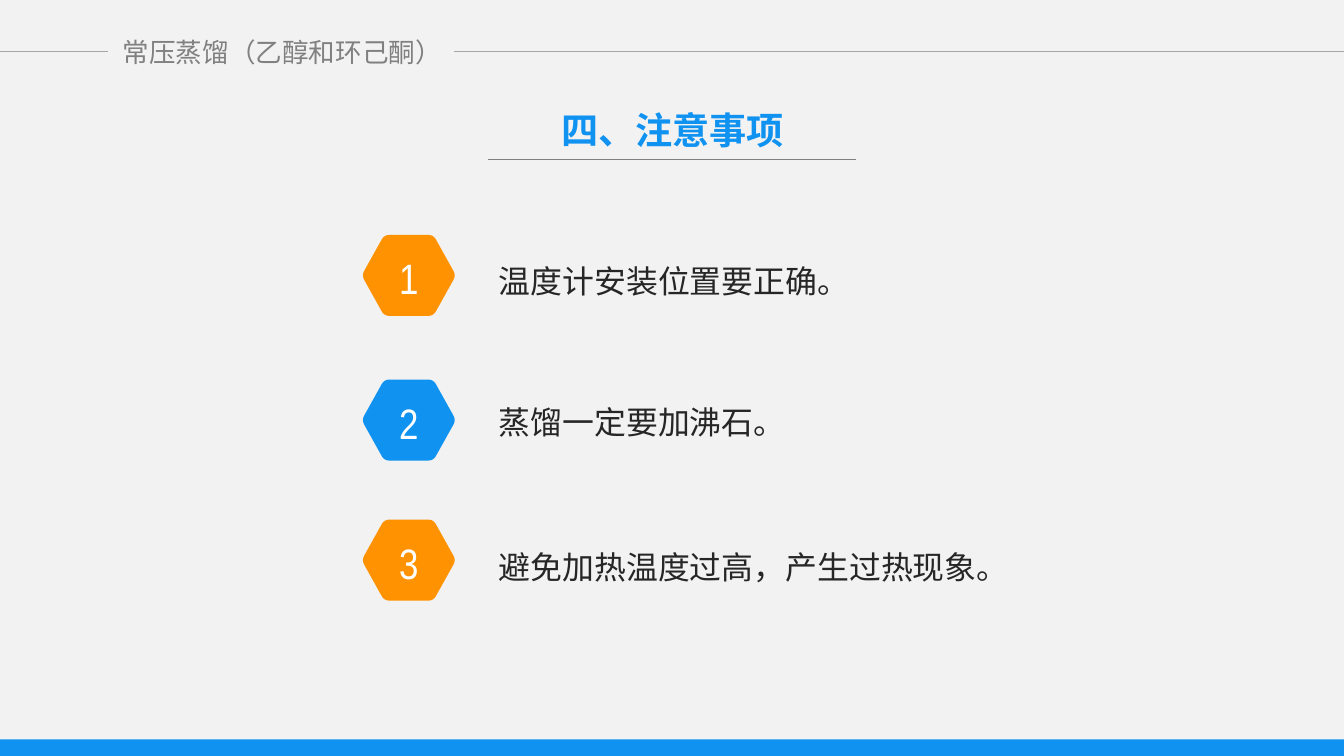
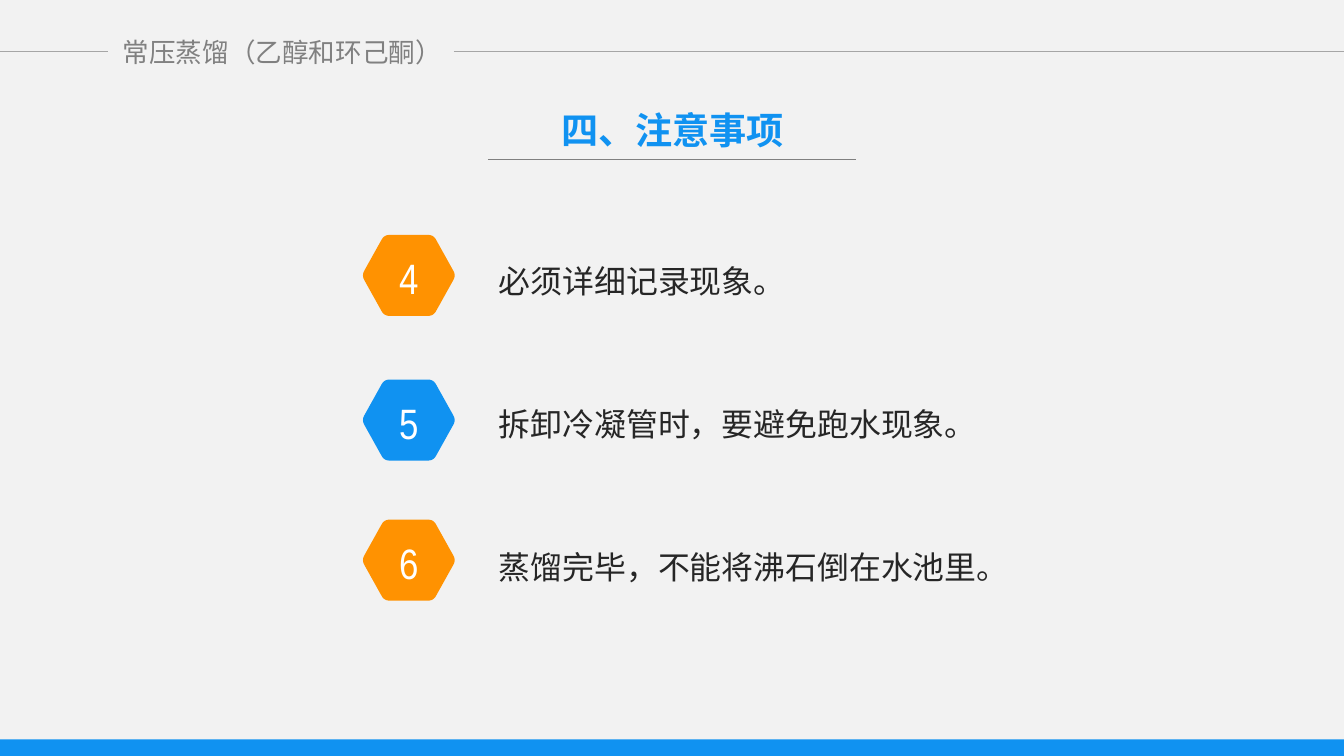
from dataclasses import dataclass

from lxml.etree import SubElement
from pptx import Presentation
from pptx.dml.color import RGBColor
from pptx.enum.shapes import MSO_CONNECTOR, MSO_SHAPE
from pptx.enum.text import MSO_ANCHOR, MSO_AUTO_SIZE, PP_ALIGN
from pptx.oxml.ns import qn
from pptx.shapes.autoshape import Shape
from pptx.shapes.connector import Connector
from pptx.slide import Slide
from pptx.util import Pt

# Shared look
PAGE_WIDTH, PAGE_HEIGHT = 1012.5, 569.5
BLUE, ORANGE, WHITE = "1092F1", "FF9201", "FFFFFF"
PAPER, INK, GRAY, RULE = "F2F2F2", "262626", "808080", "A6A6A6"
HEADER_Y = 39
BAND_HEIGHT = 12.5

# Hexagon badge, measured from its centre
BADGE_X = 308
BADGE_HALF_WIDTH, BADGE_HALF_TOP, BADGE_HALF_HEIGHT = 35.5, 18.5, 30.5
CORNER_CUT, CORNER_STEPS = 4, 6


@dataclass
class TextStyle:
    size: float
    font: str
    color: str
    bold: bool = False
    align: PP_ALIGN = PP_ALIGN.LEFT
    anchor: MSO_ANCHOR = MSO_ANCHOR.TOP
    spacing: float = 1.0
    inset: tuple[float, float] = (0, 0)


@dataclass
class Row:
    badge_y: float
    color: str


@dataclass
class Note:
    number: str
    text: str
    top: float


HEADER = TextStyle(20, "Arial", GRAY, align=PP_ALIGN.CENTER, anchor=MSO_ANCHOR.MIDDLE)
TITLE = TextStyle(28, "Times New Roman", BLUE, bold=True, align=PP_ALIGN.CENTER)
NUMBER = TextStyle(32, "Arial Narrow", WHITE, align=PP_ALIGN.CENTER, inset=(7.2, 3.6))
BODY = TextStyle(24, "Times New Roman", INK, spacing=1.3)

ROWS = [Row(207.5, ORANGE), Row(316.5, BLUE), Row(422, ORANGE)]
PAGES = [
    [
        Note("1", "温度计安装位置要正确。", 188.6),
        Note("2", "蒸馏一定要加沸石。", 294.5),
        Note("3", "避免加热温度过高，产生过热现象。", 404),
    ],
    [
        Note("4", "必须详细记录现象。", 188.6),
        Note("5", "拆卸冷凝管时，要避免跑水现象。", 296),
        Note("6", "蒸馏完毕，不能将沸石倒在水池里。", 404),
    ],
]


def rgb(color: str) -> RGBColor:
    return RGBColor.from_string(color)


def paint(shape: Shape, color: str) -> None:
    shape.shadow.inherit = False
    shape.fill.solid()
    shape.fill.fore_color.rgb = rgb(color)
    shape.line.fill.background()


def add_text(page: Slide, text: str, left: float, top: float, width: float,
             height: float, style: TextStyle) -> Shape:
    box = page.shapes.add_textbox(Pt(left), Pt(top), Pt(width), Pt(height))
    frame = box.text_frame
    frame.word_wrap = True
    frame.auto_size = MSO_AUTO_SIZE.SHAPE_TO_FIT_TEXT
    frame.vertical_anchor = style.anchor
    frame.margin_left = frame.margin_right = Pt(style.inset[0])
    frame.margin_top = frame.margin_bottom = Pt(style.inset[1])
    para = frame.paragraphs[0]
    para.alignment = style.align
    para.line_spacing = style.spacing
    span = para.add_run()
    span.text = text
    span.font.name = style.font
    span.font.size = Pt(style.size)
    span.font.bold = style.bold
    span.font.color.rgb = rgb(style.color)
    return box


def add_rule(page: Slide, start: float, end: float, y: float, color: str,
             width: float = 1) -> Connector:
    rule = page.shapes.add_connector(
        MSO_CONNECTOR.STRAIGHT, Pt(start), Pt(y), Pt(end), Pt(y))
    rule.line.color.rgb = rgb(color)
    rule.line.width = Pt(width)
    SubElement(rule._element.spPr, qn("a:effectLst"))
    return rule


def rounded_hexagon(center_x: float, center_y: float) -> list[tuple[int, int]]:
    """Outline points, each corner eased with a quadratic curve."""
    w, t, h = BADGE_HALF_WIDTH, BADGE_HALF_TOP, BADGE_HALF_HEIGHT
    corners = [(t, -h), (w, 0), (t, h), (-t, h), (-w, 0), (-t, -h)]

    def toward(corner: tuple[float, float], other: tuple[float, float]) -> tuple[float, float]:
        dx, dy = other[0] - corner[0], other[1] - corner[1]
        share = CORNER_CUT / (dx * dx + dy * dy) ** 0.5
        return corner[0] + dx * share, corner[1] + dy * share

    points = []
    for index, corner in enumerate(corners):
        first = toward(corner, corners[index - 1])
        last = toward(corner, corners[(index + 1) % len(corners)])
        for step in range(CORNER_STEPS + 1):
            u = step / CORNER_STEPS
            x, y = ((1 - u) ** 2 * a + 2 * u * (1 - u) * b + u * u * c
                    for a, b, c in zip(first, corner, last))
            points.append((Pt(center_x + x), Pt(center_y + y)))
    return points


def add_frame(page: Slide) -> None:
    # Bottom band
    band = page.shapes.add_shape(
        MSO_SHAPE.RECTANGLE, 0, Pt(PAGE_HEIGHT - BAND_HEIGHT), Pt(PAGE_WIDTH), Pt(BAND_HEIGHT))
    paint(band, BLUE)
    # Header between two rules
    header = add_text(page, "常压蒸馏（乙醇和环己酮）", 83.5, HEADER_Y - 12, 258.5, 24, HEADER)
    add_rule(page, 0, 81.5, HEADER_Y, RULE)
    add_rule(page, 342, PAGE_WIDTH, HEADER_Y, RULE).begin_connect(header, 3)
    # Underlined title
    add_text(page, "四、注意事项", 399, 80.6, 215, 34, TITLE)
    add_rule(page, 367.5, 645, 120, GRAY, 0.75)


def add_note(page: Slide, row: Row, note: Note) -> None:
    first, *others = rounded_hexagon(BADGE_X, row.badge_y)
    outline = page.shapes.build_freeform(*first)
    outline.add_line_segments(others, close=True)
    paint(outline.convert_to_shape(), row.color)
    add_text(page, note.number, BADGE_X - 23.5, row.badge_y - 21, 47, 46, NUMBER)
    add_text(page, note.text, 375.8, note.top, 387, 34, BODY)


def main() -> None:
    deck = Presentation()
    deck.slide_width, deck.slide_height = Pt(PAGE_WIDTH), Pt(PAGE_HEIGHT)
    backdrop = deck.slide_master.background.fill
    backdrop.solid()
    backdrop.fore_color.rgb = rgb(PAPER)
    for notes in PAGES:
        page = deck.slides.add_slide(deck.slide_layouts[6])
        add_frame(page)
        for row, note in zip(ROWS, notes):
            add_note(page, row, note)
    deck.save("out.pptx")


if __name__ == "__main__":
    main()
